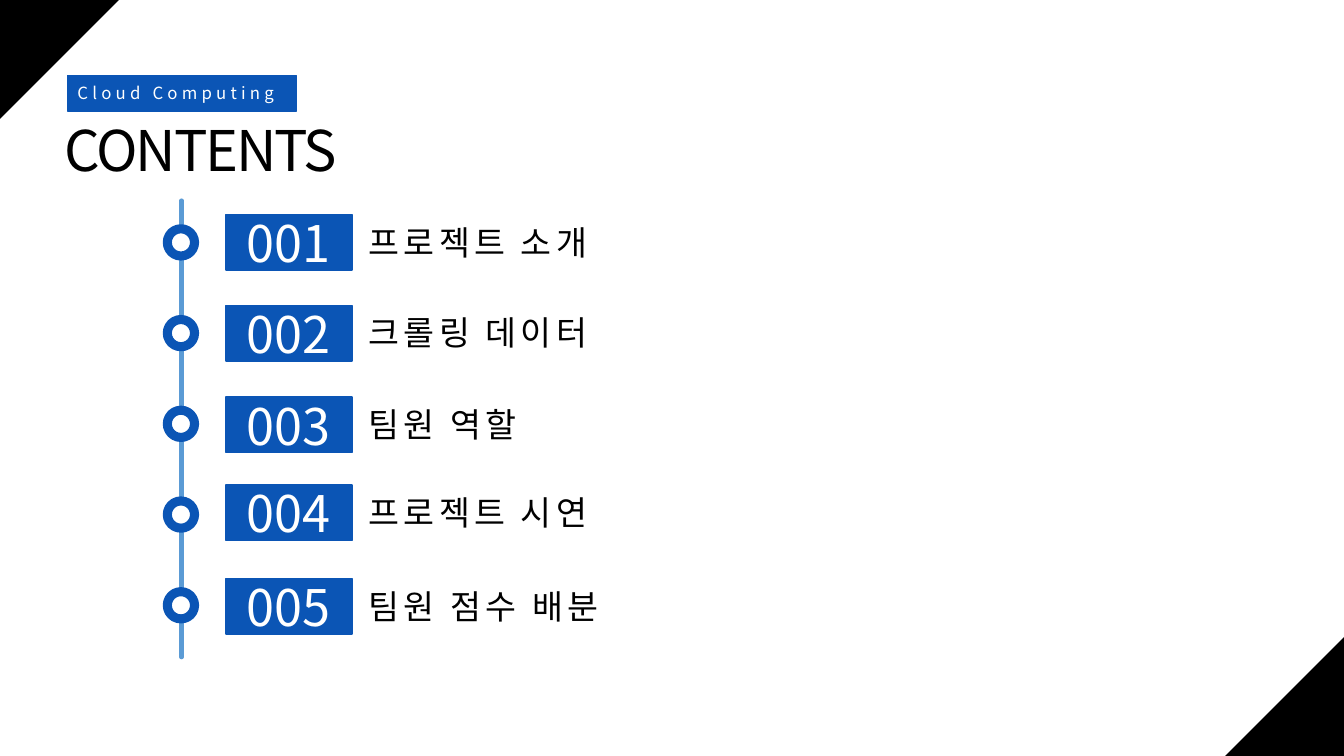
from pptx import Presentation
from pptx.dml.color import RGBColor
from pptx.enum.shapes import MSO_CONNECTOR as Connector, MSO_SHAPE as Preset
from pptx.enum.text import MSO_ANCHOR as Anchor, MSO_AUTO_SIZE as AutoSize, PP_ALIGN as Align
from pptx.oxml.ns import qn
from pptx.util import Inches, Pt

BLUE, LIGHT_BLUE, BLACK, WHITE = "0B55B5", "5B9BD5", "000000", "FFFFFF"
FONT = "Noto Sans CJK KR"
CHAPTERS = [
    ("프로젝트 소개", 2.13, 2.42),
    ("크롤링 데이터", 3.03, 2.42),
    ("팀원 역할", 3.94, 1.72),
    ("프로젝트 시연", 4.81, 2.42),
    ("팀원 점수 배분", 5.74, 2.55),
]
FIRST_MARKER_TOP, MARKER_STEP = 2.27, 0.9


def color(hex_value):
    """Turn a hex string into a colour."""
    return RGBColor.from_string(hex_value)


def place(shape, left, top, width, height):
    """Set the position and size of a shape in inches."""
    shape.left, shape.top = Inches(left), Inches(top)
    shape.width, shape.height = Inches(width), Inches(height)


def write(shape, text, size, hex_value, spacing=0, align=Align.LEFT):
    """Add one formatted run to the first paragraph of a shape."""
    paragraph = shape.text_frame.paragraphs[0]
    paragraph.alignment = align
    run = paragraph.add_run()
    run.text = text
    run.font.size = Pt(size)
    run.font.name = FONT
    run.font.color.rgb = color(hex_value)
    properties = run.font._element
    properties.set("spc", str(int(spacing * 100)))
    east_asian = properties.makeelement(qn("a:ea"), {"typeface": FONT})
    properties.find(qn("a:latin")).addnext(east_asian)


def fit_on_one_line(shape):
    """Let a text shape grow around a single unwrapped line."""
    frame = shape.text_frame
    frame.word_wrap = False
    frame.auto_size = AutoSize.SHAPE_TO_FIT_TEXT
    frame.vertical_anchor = Anchor.TOP


def add_preset(slide, preset, box, fill, line=None, line_width=1):
    """Add a flat preset shape with an optional outline."""
    shape = slide.shapes.add_shape(preset, *map(Inches, box))
    shape.shadow.inherit = False
    shape.fill.solid()
    shape.fill.fore_color.rgb = color(fill)
    if line:
        shape.line.color.rgb = color(line)
        shape.line.width = Pt(line_width)
    else:
        shape.line.fill.background()
    return shape


def add_corner(slide, left, top, rotation):
    """Add a black right triangle in a slide corner."""
    corner = add_preset(slide, Preset.ISOSCELES_TRIANGLE, (left, top, 1.18, 1.18), BLACK)
    corner.adjustments[0] = 0
    corner.rotation = rotation


def add_timeline(slide):
    """Add the vertical line that joins the markers."""
    timeline = slide.shapes.add_connector(
        Connector.STRAIGHT, Inches(1.8), Inches(1.99), Inches(1.8), Inches(6.52))
    timeline.line.color.rgb = color(LIGHT_BLUE)
    timeline.line.width = Pt(3)
    timeline.line._get_or_add_ln().set("cap", "rnd")
    properties = timeline._element.spPr
    properties.append(properties.makeelement(qn("a:effectLst"), {}))


def add_title(slide):
    """Format the title placeholder."""
    title = slide.shapes.title
    place(title, 0.54, 1.1, 2.95, 0.77)
    fit_on_one_line(title)
    write(title, "CONTENTS", 40, BLACK, spacing=-1.5)


def add_subject(slide):
    """Add the blue subject label above the title."""
    label = add_preset(slide, Preset.RECTANGLE, (0.67, 0.75, 2.27, 0.35), BLUE, BLUE)
    label.text_frame.vertical_anchor = Anchor.MIDDLE
    write(label, "Cloud Computing", 12, WHITE, spacing=3)


def add_chapter(slide, number, name, top, name_width):
    """Add the marker, number badge and name of one chapter."""
    marker_top = FIRST_MARKER_TOP + (number - 1) * MARKER_STEP
    add_preset(slide, Preset.OVAL, (1.66, marker_top, 0.27, 0.27), WHITE, BLUE, 6.5)

    badge = add_preset(slide, Preset.RECTANGLE, (2.24, top, 1.25, 0.55), BLUE, BLUE)
    frame = badge.text_frame
    frame.margin_top = frame.margin_bottom = 0
    frame.vertical_anchor = Anchor.MIDDLE
    write(badge, f"{number:03}", 36, WHITE, align=Align.CENTER)

    box = (3.56, top + 0.02, name_width, 0.5)
    label = slide.shapes.add_textbox(*map(Inches, box))
    fit_on_one_line(label)
    write(label, name, 24, BLACK, spacing=3)


def main():
    """Build the contents slide and save it."""
    presentation = Presentation()
    presentation.slide_width = Inches(13.33)
    presentation.slide_height = Inches(7.5)
    slide = presentation.slides.add_slide(presentation.slide_layouts[5])
    add_corner(slide, 0, 0, 90)
    add_corner(slide, 12.15, 6.32, 270)
    add_timeline(slide)
    add_title(slide)
    add_subject(slide)
    for number, (name, top, name_width) in enumerate(CHAPTERS, start=1):
        add_chapter(slide, number, name, top, name_width)
    presentation.save("out.pptx")


if __name__ == "__main__":
    main()
